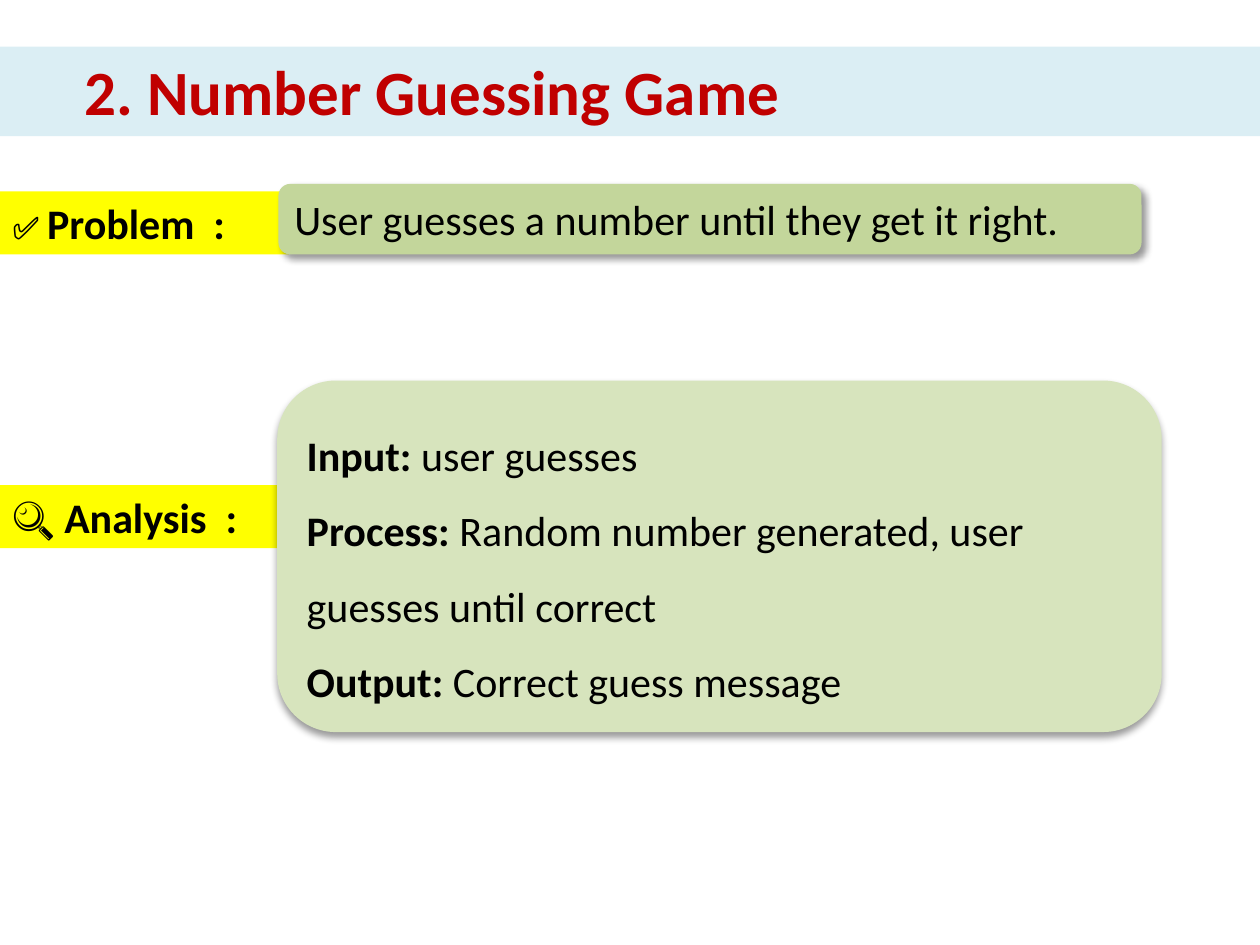
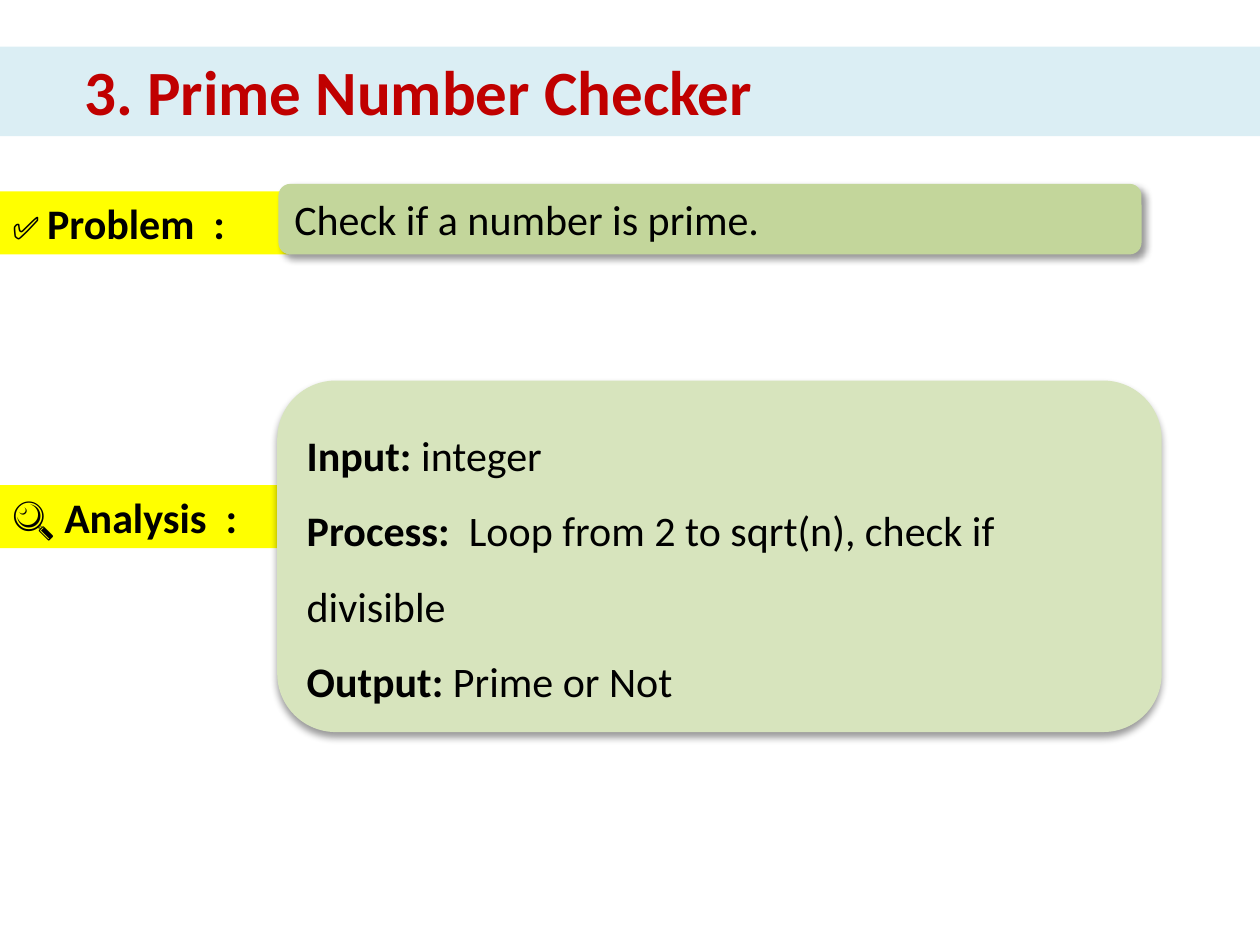
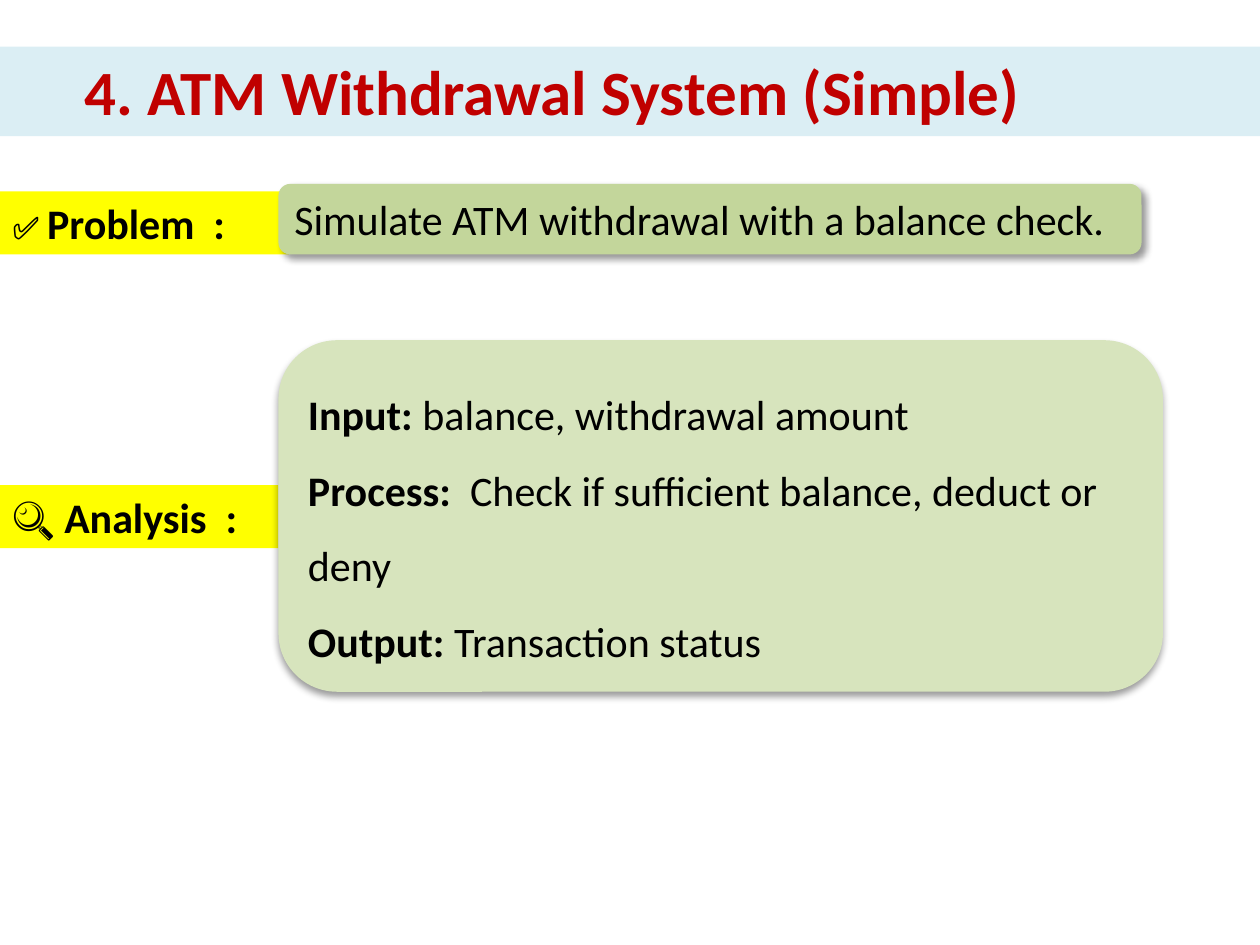
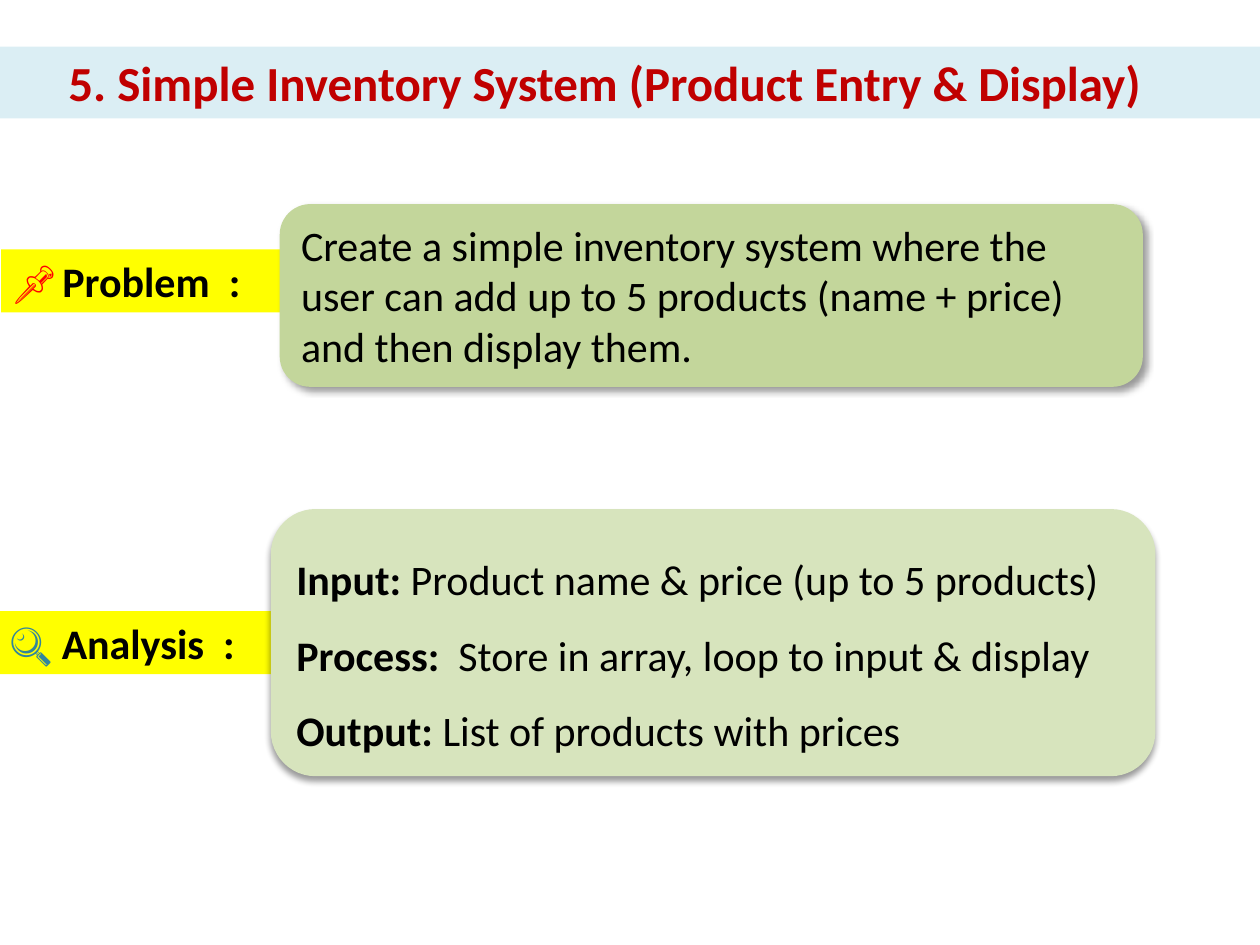
from lxml import etree
from pptx import Presentation
from pptx.dml.color import RGBColor
from pptx.enum.shapes import MSO_SHAPE
from pptx.enum.text import MSO_ANCHOR, MSO_AUTO_SIZE, PP_ALIGN
from pptx.oxml.ns import qn
from pptx.util import Inches, Pt

RECT, ROUND = MSO_SHAPE.RECTANGLE, MSO_SHAPE.ROUNDED_RECTANGLE
TOP, LEFT = MSO_ANCHOR.TOP, PP_ALIGN.LEFT
GROW = MSO_AUTO_SIZE.SHAPE_TO_FIT_TEXT

BLACK = RGBColor(0x00, 0x00, 0x00)
RED = RGBColor(0xC0, 0x00, 0x00)
BRIGHT = RGBColor(0xFF, 0x00, 0x00)
TEAL = RGBColor(0x31, 0x85, 0x9C)
PALE = RGBColor(0xDB, 0xEE, 0xF4)
YELLOW = RGBColor(0xFF, 0xFF, 0x00)
GREEN = RGBColor(0xC3, 0xD6, 0x9B)
LIGHT = RGBColor(0xD7, 0xE4, 0xBD)

FONT = "Calibri"
BODY = 24
INSET = 0.1
WIDE = 10

# Runs are (text, size, colour, bold).
CHECK = [("✅ ", 18, BLACK, False), ("Problem  :", BODY, BLACK, True)]
PIN = [("📌", BODY, BRIGHT, False), (" ", 18, BLACK, False),
       ("Problem  :", BODY, BLACK, True)]
LENS = [("🔍 Analysis  :", BODY, BLACK, True)]
TEAL_LENS = [("🔍", BODY, TEAL, True), (" Analysis  :", BODY, BLACK, True)]

# Boxes are (left, top, width, height) in inches.
USUAL = {
    "title": (0, 0.37, WIDE, 0.71), "size": 36,
    "problem": (0, 1.52, 2.29, 0.5), "goal": (2.21, 1.46, 6.85, 0.56),
    "analysis": (0, 3.85, 2.21, 0.5), "steps": (2.2, 3.02, 7.02, 2.79),
    "mark": CHECK, "lens": LENS,
}
HIGHER = USUAL | {"steps": (2.21, 2.7, 7.02, 2.79)}
TALL = {
    "title": (0, 0.37, WIDE, 0.57), "size": 28,
    "problem": (0.01, 1.98, 2.29, 0.5), "goal": (2.22, 1.62, 6.85, 1.45),
    "analysis": (-0.02, 4.85, 2.21, 0.5), "steps": (2.15, 4.04, 7.02, 2.12),
    "mark": PIN, "lens": TEAL_LENS,
}

TASKS = [
    (USUAL, "2. Number Guessing Game",
     "User guesses a number until they get it right.",
     ("user guesses",
      "Random number generated, user guesses until correct",
      "Correct guess message")),
    (USUAL, "3. Prime Number Checker",
     "Check if a number is prime.",
     ("integer",
      " Loop from 2 to sqrt(n), check if divisible",
      "Prime or Not")),
    (HIGHER, "4. ATM Withdrawal System (Simple)",
     "Simulate ATM withdrawal with a balance check.",
     ("balance, withdrawal amount",
      " Check if sufficient balance, deduct or deny",
      "Transaction status")),
    (TALL, "5. Simple Inventory System (Product Entry & Display)",
     "Create a simple inventory system where the user can add up to "
     "5 products (name + price) and then display them.",
     ("Product name & price (up to 5 products)",
      " Store in array, loop to input & display",
      "List of products with prices")),
]


def add_box(slide, kind, box, fill):
    """Add a filled, unlined shape with an empty, left-aligned text frame."""
    shape = slide.shapes.add_shape(kind, *map(Inches, box))
    shape.shadow.inherit = False
    shape.fill.solid()
    shape.fill.fore_color.rgb = fill
    shape.line.fill.background()
    frame = shape.text_frame
    frame.word_wrap = True
    frame.auto_size = GROW
    frame.vertical_anchor = TOP
    return shape


def cast(shape, angle):
    """Give the shape a soft outer shadow falling at the angle in degrees."""
    effects = shape._element.spPr.find(qn("a:effectLst"))
    outer = etree.SubElement(
        effects, qn("a:outerShdw"), blurRad=str(Pt(4)), dist=str(Pt(3)),
        dir=str(angle * 60000), algn="tl" if angle == 45 else "t",
        rotWithShape="0")
    color = etree.SubElement(outer, qn("a:srgbClr"), val=str(BLACK))
    etree.SubElement(color, qn("a:alpha"), val="40000")


def write(shape, lines, spacing=None):
    """Fill the shape with one paragraph for each list of runs."""
    frame = shape.text_frame
    for i, runs in enumerate(lines):
        para = frame.add_paragraph() if i else frame.paragraphs[0]
        para.alignment = LEFT
        para.line_spacing = spacing
        para.font.name = FONT
        for text, size, color, bold in runs:
            run = para.add_run()
            run.text = text
            font = run.font
            font.name, font.size, font.bold = FONT, Pt(size), bold
            font.color.rgb = color


def add_title(slide, box, text, size):
    band = add_box(slide, RECT, box, PALE)
    indent = size * 0.57 / 36
    band.text_frame.margin_left = Inches(INSET + indent)
    write(band, [[(text, size, RED, True)]])


def add_label(slide, box, runs):
    write(add_box(slide, RECT, box, YELLOW), [runs])


def add_goal(slide, box, text):
    card = add_box(slide, ROUND, box, GREEN)
    cast(card, 45)
    write(card, [[(text, BODY, BLACK, False)]])


def add_steps(slide, box, steps):
    card = add_box(slide, ROUND, box, LIGHT)
    cast(card, 90)
    heads = ("Input: ", "Process: ", "Output: ")
    write(card, [[(head, BODY, BLACK, True), (step, BODY, BLACK, False)]
                 for head, step in zip(heads, steps)], 1.5)


def add_task(deck, plan, title, goal, steps):
    slide = deck.slides.add_slide(deck.slide_layouts[6])
    add_title(slide, plan["title"], title, plan["size"])
    add_label(slide, plan["problem"], plan["mark"])
    add_goal(slide, plan["goal"], goal)
    add_label(slide, plan["analysis"], plan["lens"])
    add_steps(slide, plan["steps"], steps)


def main():
    deck = Presentation()
    deck.slide_width, deck.slide_height = Inches(WIDE), Inches(7.5)
    for task in TASKS:
        add_task(deck, *task)
    deck.save("out.pptx")


if __name__ == "__main__":
    main()
